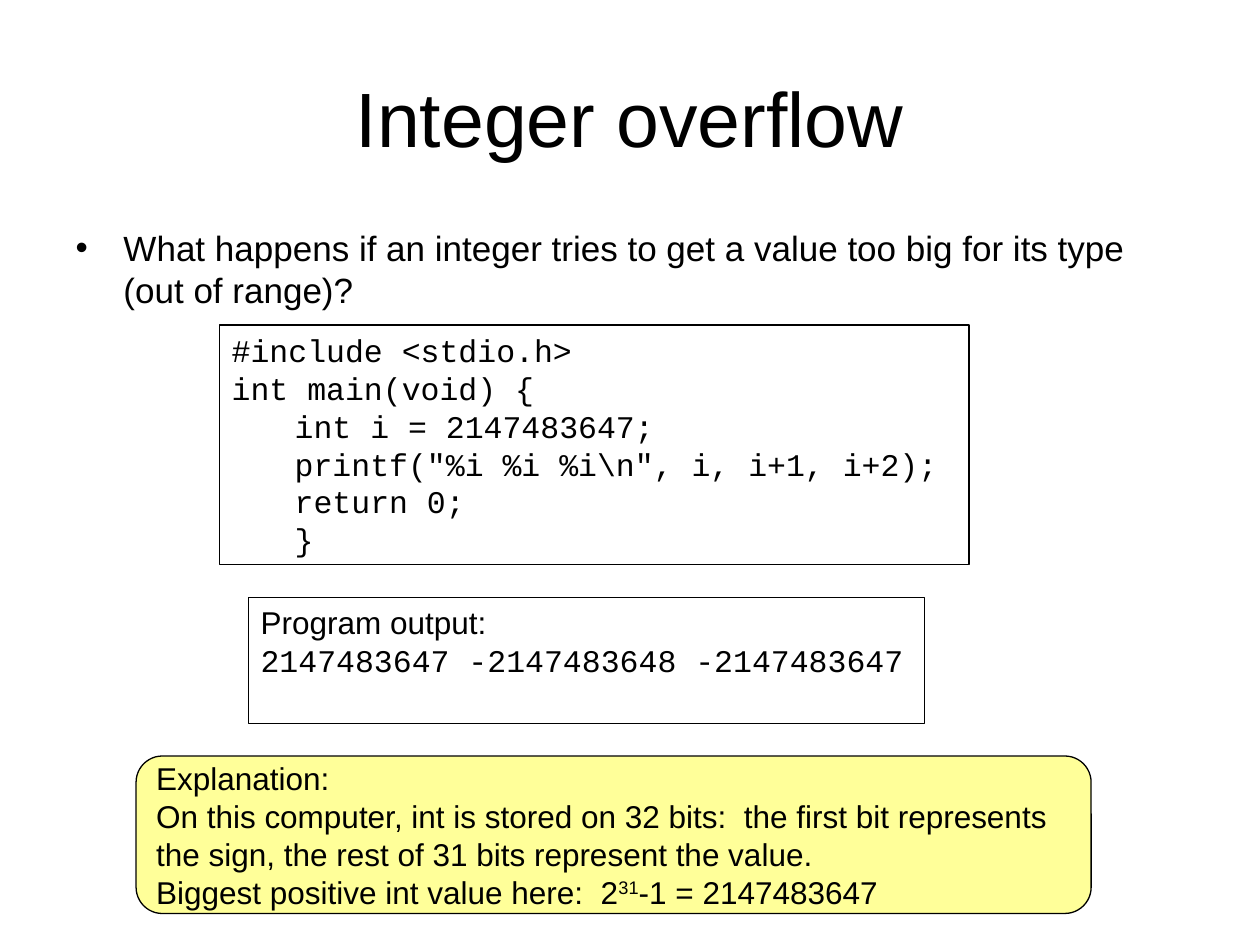
from pptx import Presentation
from pptx.dml.color import RGBColor
from pptx.enum.shapes import MSO_SHAPE
from pptx.enum.text import MSO_ANCHOR, PP_ALIGN
from pptx.util import Inches, Pt

RECTANGLE, ROUNDED = MSO_SHAPE.RECTANGLE, MSO_SHAPE.ROUNDED_RECTANGLE
TOP, MIDDLE = MSO_ANCHOR.TOP, MSO_ANCHOR.MIDDLE
LEFT, CENTER = PP_ALIGN.LEFT, PP_ALIGN.CENTER

COLORS = {"ink": "000000", "note": "FFFF99"}
SANS, MONO = "Arial", "Courier New"
CODE_INDENT = 0.5

TITLE = "Integer overflow"
QUESTION = ("What happens if an integer tries to get a value too big "
            "for its type (out of range)?")
CODE = [
    ("#include <stdio.h>", 0),
    ("int main(void) {", 0),
    ("int i = 2147483647;", CODE_INDENT),
    ('printf("%i %i %i\\n", i, i+1, i+2);', CODE_INDENT),
    ("return 0;", CODE_INDENT),
    ("}", CODE_INDENT),
]
OUTPUT = [("Program output:", SANS), ("2147483647 -2147483648 -2147483647", MONO)]
EXPLANATION = [
    "Explanation:",
    "On this computer, int is stored on 32 bits:  the first bit represents",
    "the sign, the rest of 31 bits represent the value.",
    "Biggest positive int value here:  2",
]
EXPONENT, REMAINDER = "31", "-1 = 2147483647"


def apply_format(target, values):
    """Set each named attribute of the target."""
    for name, value in values.items():
        setattr(target, name, value)


def add_run(paragraph, text, font=SANS, size=18):
    """Append a run in the ink colour and return it."""
    run = paragraph.add_run()
    run.text = text
    apply_format(run.font, {"name": font, "size": Pt(size)})
    run.font.color.rgb = RGBColor.from_string(COLORS["ink"])
    return run


def add_line(frame, text, font=SANS, indent=0):
    """Write a left-aligned paragraph, using the empty first one if free."""
    first = frame.paragraphs[0]
    paragraph = frame.add_paragraph() if first.runs else first
    paragraph.alignment = LEFT
    if indent:
        properties = paragraph._p.get_or_add_pPr()
        properties.set("marL", str(Inches(indent)))
    add_run(paragraph, text, font)
    return paragraph


def place(shape, box):
    """Move and size a shape to a box in inches."""
    names = ("left", "top", "width", "height")
    apply_format(shape, dict(zip(names, map(Inches, box))))


def add_panel(slide, box, kind=RECTANGLE, fill=None, anchor=TOP):
    """Draw an outlined panel and return its text frame."""
    shape = slide.shapes.add_shape(kind, *map(Inches, box))
    shape.shadow.inherit = False
    if fill:
        shape.fill.solid()
        shape.fill.fore_color.rgb = RGBColor.from_string(COLORS[fill])
    else:
        shape.fill.background()
    shape.line.color.rgb = RGBColor.from_string(COLORS["ink"])
    shape.line.width = Pt(0.75)
    apply_format(shape.text_frame, {"word_wrap": True, "vertical_anchor": anchor})
    return shape.text_frame


def fill_title(slide, box):
    """Write the slide title."""
    title = slide.shapes.title
    place(title, box)
    title.text_frame.vertical_anchor = MIDDLE
    paragraph = title.text_frame.paragraphs[0]
    paragraph.alignment = CENTER
    add_run(paragraph, TITLE, size=44)


def fill_question(slide, box):
    """Write the bulleted question."""
    body = slide.placeholders[1]
    place(body, box)
    paragraph = body.text_frame.paragraphs[0]
    paragraph.space_before = Pt(5)
    properties = paragraph._p.get_or_add_pPr()
    properties.set("marL", str(Inches(0.38)))
    properties.set("indent", str(Inches(-0.38)))
    add_run(paragraph, QUESTION, size=20)


def add_code(slide, box):
    """Add the program listing."""
    frame = add_panel(slide, box)
    for text, indent in CODE:
        add_line(frame, text, MONO, indent)


def add_output(slide, box):
    """Add the program output."""
    frame = add_panel(slide, box)
    for text, font in OUTPUT:
        add_line(frame, text, font)


def add_explanation(slide, box):
    """Add the rounded note with the power of two."""
    frame = add_panel(slide, box, ROUNDED, "note", MIDDLE)
    for text in EXPLANATION:
        paragraph = add_line(frame, text)
    exponent = add_run(paragraph, EXPONENT)
    exponent._r.get_or_add_rPr().set("baseline", "30000")
    add_run(paragraph, REMAINDER)


def main():
    """Build and save the slide."""
    presentation = Presentation()
    presentation.slide_width = Inches(10)
    presentation.slide_height = Inches(7.5)
    slide = presentation.slides.add_slide(presentation.slide_layouts[1])
    fill_title(slide, (0.5, 0.3, 9, 1.25))
    fill_question(slide, (0.5, 1.75, 9, 4.95))
    add_code(slide, (1.74, 2.58, 5.95, 1.9))
    add_output(slide, (1.97, 4.74, 5.37, 1))
    add_explanation(slide, (1.08, 6, 7.58, 1.25))
    presentation.save("out.pptx")


if __name__ == "__main__":
    main()
